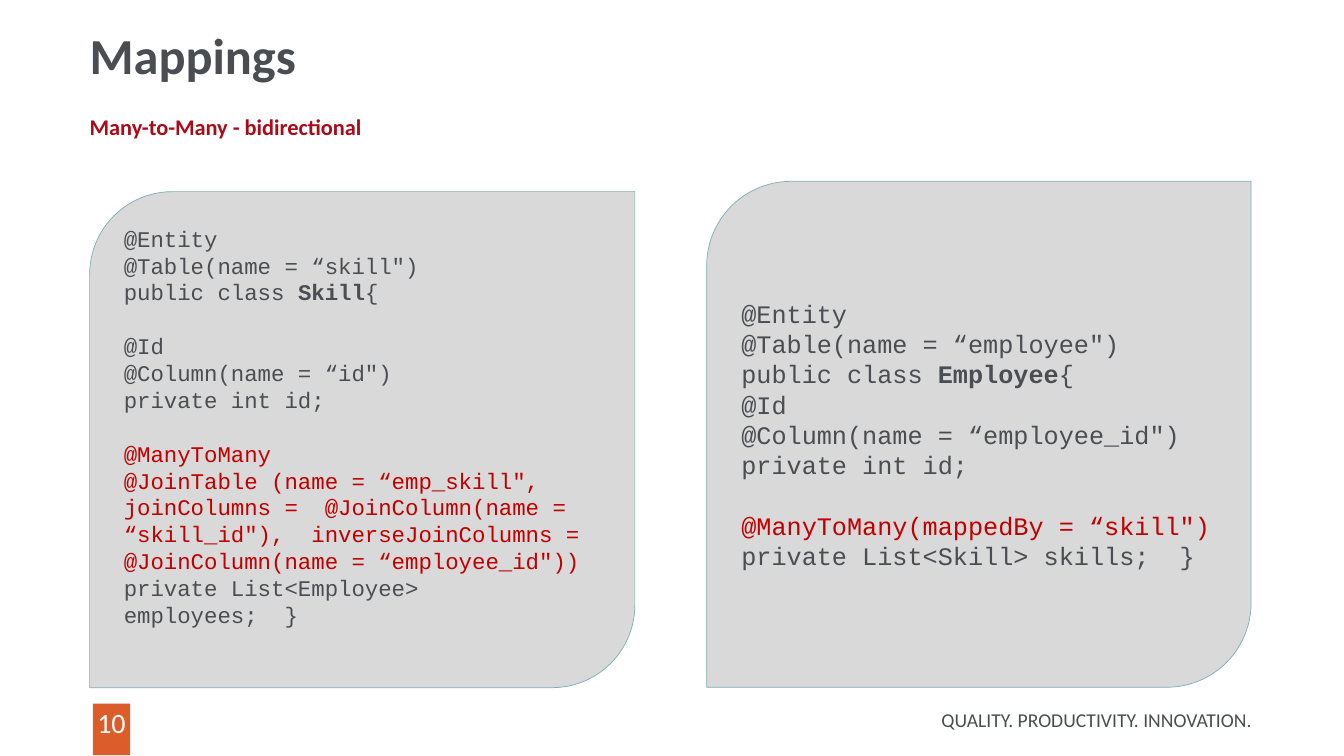
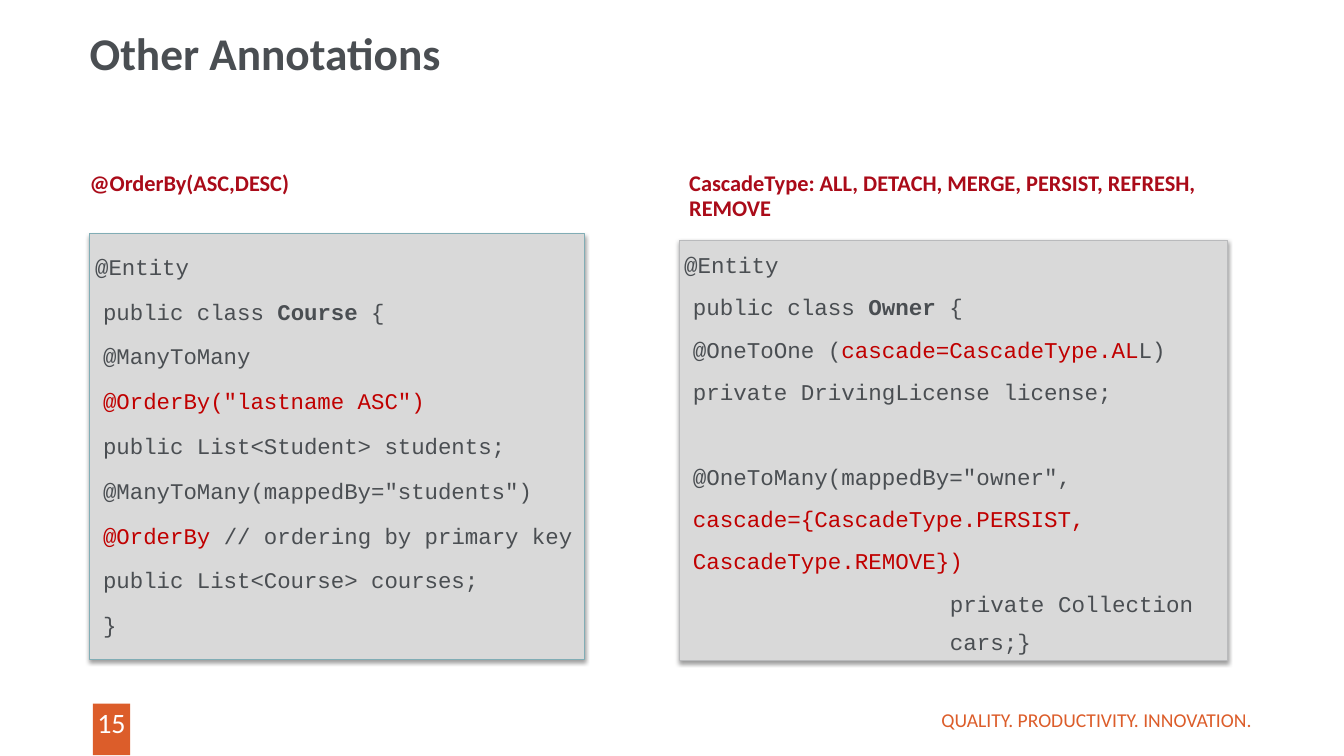
from lxml.etree import SubElement
from pptx import Presentation
from pptx.dml.color import RGBColor
from pptx.enum.shapes import MSO_SHAPE
from pptx.enum.text import MSO_ANCHOR, PP_ALIGN
from pptx.oxml.ns import qn
from pptx.util import Cm, Pt

WHITE = RGBColor(0xFF, 0xFF, 0xFF)
INK = RGBColor(0x4A, 0x4E, 0x52)
ORANGE = RGBColor(0xDC, 0x5D, 0x2A)
CRIMSON = RGBColor(0xAA, 0x0B, 0x19)
RED = RGBColor(0xC0, 0x00, 0x00)
PANEL = RGBColor(0xD9, 0xD9, 0xD9)
TEAL = RGBColor(0x81, 0xAD, 0xB5)
SILVER = RGBColor(0xB9, 0xBA, 0xBC)

SANS, MONO = "Calibri", "Courier New"
LEFT = 2.26
LINE_HEIGHT = 1.2  # of the code font, relative to its size
FOOTER = "QUALITY. PRODUCTIVITY. INNOVATION."

# A line of code is a list of runs: plain text, or (text, "bold" or "red").
# None leaves the height of one line free.
SKILL = [
    ["@Entity"],
    ["@Table(name = “skill\")"],
    ["public class ", ("Skill", "bold"), "{"],
    None,
    ["@Id"],
    ["@Column(name = “id\")"],
    ["private int id;"],
    None,
    [("@ManyToMany", "red")],
    [("@JoinTable (name = “emp_skill\", joinColumns =  @JoinColumn(name = "
      "“skill_id\"),  inverseJoinColumns =  "
      "@JoinColumn(name = “employee_id\"))", "red")],
    ["private List<Employee> employees;  }"],
]
EMPLOYEE = [
    ["@Entity"],
    ["@Table(name = “employee\")"],
    ["public class ", ("Employee", "bold"), "{"],
    ["@Id"],
    ["@Column(name = “employee_id\")"],
    ["private int id;"],
    None,
    [("@ManyToMany(mappedBy = “skill\")", "red")],
    ["private List<Skill> skills;  }"],
]
COURSE = [
    ["@Entity"],
    ["public class ", ("Course", "bold"), " {"],
    ["@ManyToMany"],
    [("@OrderBy(\"lastname ASC\")", "red")],
    ["public List<Student> students;"],
    ["@ManyToMany(mappedBy=\"students\")"],
    [("@OrderBy", "red"), " // ordering by primary key"],
    ["public List<Course> courses;"],
    ["}"],
]
OWNER = [
    ["@Entity"],
    ["public class ", ("Owner", "bold"), " {"],
    ["@OneToOne (", ("cascade=CascadeType.AL", "red"), "L)"],
    ["private DrivingLicense license;"],
    None,
    ["@OneToMany(mappedBy=\"owner\","],
    [("cascade={CascadeType.PERSIST,", "red")],
    [("CascadeType.REMOVE})", "red")],
    ["private Collection cars;}"],
]

ROUNDED = dict(shape=MSO_SHAPE.ROUND_2_DIAG_RECTANGLE, line=TEAL, width=0.5,
               anchor=MSO_ANCHOR.MIDDLE)
SHADED = dict(shape=MSO_SHAPE.RECTANGLE, width=0.75, anchor=MSO_ANCHOR.TOP,
              shadow=True, before=3.2, indent=0.34)

# Boxes are left, top, width, height in cm; insets left, top, right, bottom.
# "indents" gives the lines that depart from the common indent.
SLIDES = [
    dict(number="10", title="Mappings", title_size=36, footer_color=INK,
         headings=[("Many-to-Many - bidirectional", (LEFT, 2.79, 29.29, 1.2))],
         panels=[
             dict(ROUNDED, code=SKILL, box=(LEFT, 4.83, 13.74, 12.5), size=16,
                  insets=(0.25, 0.13, 0.25, 0.8)),
             dict(ROUNDED, code=EMPLOYEE, box=(17.81, 4.57, 13.72, 12.75),
                  size=18, insets=(0.25, 0.13, 0.25, 0.13)),
         ]),
    dict(number="15", title="Other Annotations", title_size=32.4,
         footer_color=ORANGE,
         headings=[
             ("@OrderBy(ASC,DESC)", (LEFT, 4.22, 14.43, 1.5)),
             ("CascadeType: ALL, DETACH, MERGE, PERSIST, REFRESH, REMOVE",
              (17.37, 4.22, 14.18, 1.5)),
         ],
         panels=[
             dict(SHADED, code=COURSE, box=(LEFT, 5.89, 12.47, 10.74), size=16,
                  line=TEAL, spacing=1.5, indents={0: 0.14},
                  insets=(0, 0.15, 0, 0)),
             dict(SHADED, code=OWNER, box=(17.12, 6.05, 13.82, 10.59),
                  size=16.1, line=SILVER, spacing=1.4,
                  indents={0: 0.12, 7: 6.82}),
         ]),
]


def set_frame(tf, insets=(0, 0, 0, 0), anchor=MSO_ANCHOR.TOP):
    tf.word_wrap = True
    tf.vertical_anchor = anchor
    (tf.margin_left, tf.margin_top,
     tf.margin_right, tf.margin_bottom) = map(Cm, insets)


def style_run(r, font, size, color, bold=False):
    r.font.name = font
    r.font.size = Pt(size)
    r.font.color.rgb = color
    r.font.bold = bold


def write_line(tf, text, size, color, bold=False, align=PP_ALIGN.LEFT,
               spacing=1.0):
    p = tf.paragraphs[0]
    p.text = text
    p.alignment = align
    p.line_spacing = spacing
    style_run(p.runs[0], SANS, size, color, bold)


def add_text(slide, box, text, size, color, insets=(0, 0, 0, 0),
             anchor=MSO_ANCHOR.TOP, **style):
    tf = slide.shapes.add_textbox(*map(Cm, box)).text_frame
    set_frame(tf, insets, anchor)
    write_line(tf, text, size, color, **style)


def add_filled(slide, shape, box, fill):
    sp = slide.shapes.add_shape(shape, *map(Cm, box))
    sp.shadow.inherit = False
    sp.fill.solid()
    sp.fill.fore_color.rgb = fill
    sp.line.fill.background()
    return sp


def add_drop_shadow(sp):
    effects = sp.element.spPr.find(qn("a:effectLst"))
    shadow = SubElement(effects, qn("a:outerShdw"), blurRad=str(Pt(3.1)),
                        dist=str(Pt(1.6)), dir="5400000", rotWithShape="0")
    color = SubElement(shadow, qn("a:srgbClr"), val="000000")
    SubElement(color, qn("a:alpha"), val="38000")


def write_code(tf, code, size, spacing, before, indent, indents):
    gap = 0
    number = 0
    for runs in code:
        if runs is None:
            gap += size * LINE_HEIGHT * spacing + before
            continue
        p = tf.add_paragraph() if number else tf.paragraphs[0]
        p.alignment = PP_ALIGN.LEFT
        p.line_spacing = spacing
        p.space_before = Pt(before + gap)
        pPr = p._p.get_or_add_pPr()
        pPr.set("marL", str(Cm(indents.get(number, indent))))
        pPr.set("indent", "0")
        for run in runs:
            text, mark = (run, "") if isinstance(run, str) else run
            r = p.add_run()
            r.text = text
            style_run(r, MONO, size, RED if mark == "red" else INK,
                      mark == "bold")
        gap = 0
        number += 1


def add_panel(slide, code, box, size, shape, line, width, anchor,
              insets=(0, 0, 0, 0), shadow=False, spacing=1.0, before=0,
              indent=0, indents={}):
    sp = add_filled(slide, shape, box, PANEL)
    sp.line.color.rgb = line
    sp.line.width = Pt(width)
    if shadow:
        add_drop_shadow(sp)
    set_frame(sp.text_frame, insets, anchor)
    write_code(sp.text_frame, code, size, spacing, before, indent, indents)


def add_frame(slide, number, title, title_size, footer_color):
    """Add what every slide has: number tab, footer and title."""
    tab = add_filled(slide, MSO_SHAPE.RECTANGLE, (2.34, 17.73, 0.94, 1.3),
                     ORANGE)
    set_frame(tab.text_frame, (0, 0.05, 0, 0))
    write_line(tab.text_frame, number, 20, WHITE, align=PP_ALIGN.CENTER)
    add_text(slide, (21.21, 17.63, 10.34, 1.02), FOOTER, 14, footer_color,
             anchor=MSO_ANCHOR.MIDDLE, align=PP_ALIGN.RIGHT)
    add_text(slide, (LEFT, 0.66, 23.65, 1.6), title, title_size, INK,
             insets=(0, 0.13, 0.25, 0.13), bold=True, spacing=0.9)


def main():
    prs = Presentation()
    prs.slide_width, prs.slide_height = Cm(33.87), Cm(19.05)
    for page in SLIDES:
        slide = prs.slides.add_slide(prs.slide_layouts[6])
        add_frame(slide, page["number"], page["title"], page["title_size"],
                  page["footer_color"])
        for text, box in page["headings"]:
            add_text(slide, box, text, 16, CRIMSON,
                     insets=(0, 0.13, 0.25, 0.13), bold=True, spacing=0.9)
        for panel in page["panels"]:
            add_panel(slide, **panel)
    prs.save("out.pptx")


if __name__ == "__main__":
    main()
